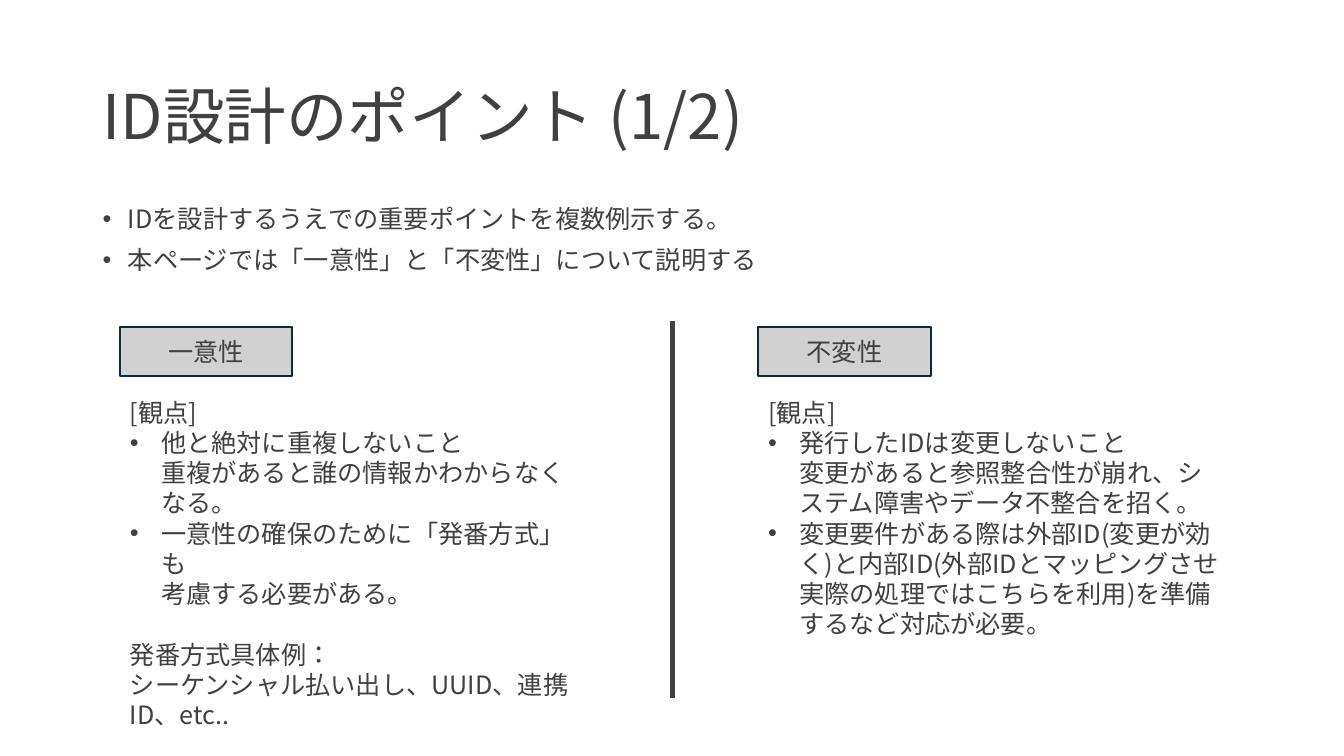
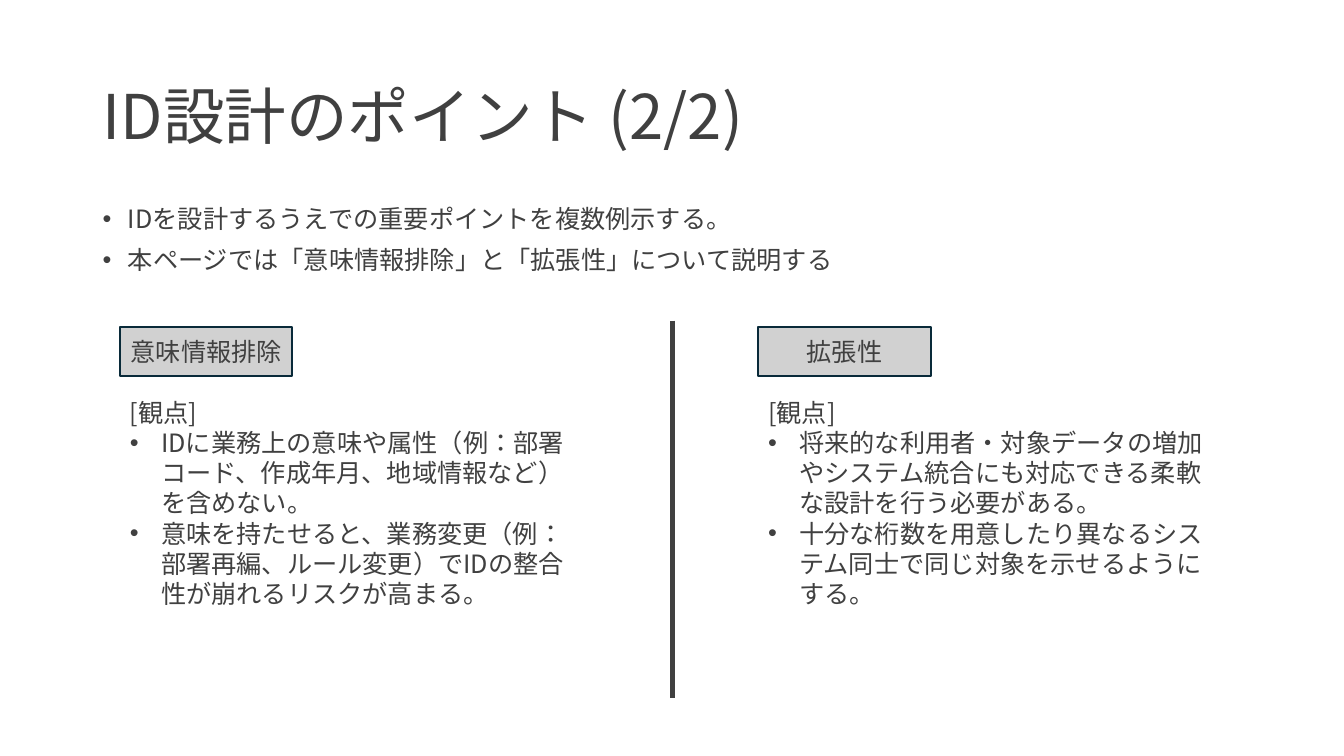
"""Build two slides on the key points of ID design."""
import pptx
import pptx.dml.color
import pptx.enum.lang
import pptx.enum.shapes
import pptx.enum.text
import pptx.oxml.ns
import pptx.util
from lxml import etree

Inches = pptx.util.Inches
Pt = pptx.util.Pt
qn = pptx.oxml.ns.qn
CENTER = pptx.enum.text.PP_ALIGN.CENTER
MIDDLE = pptx.enum.text.MSO_ANCHOR.MIDDLE

FONT = "Noto Sans CJK JP"
INK, LABEL_FILL, LABEL_LINE = "404040", "D1D1D1", "092A39"
BODY_SIZE, TITLE_SIZE = 18, 44
LINE_PITCH, TIGHT = 1.2, 0.9
COLUMN_LEFTS = (1.19, 7.52)


def color(hex_value):
    return pptx.dml.color.RGBColor.from_string(hex_value)


def write(paragraph, text, size=BODY_SIZE, pitch=None, indent=None):
    paragraph.text = text
    if indent:
        properties = paragraph._p.get_or_add_pPr()
        properties.set("marL", str(Inches(indent)))
        properties.set("indent", str(-Inches(indent)))
        etree.SubElement(properties, qn("a:buFont"), typeface="Arial")
        etree.SubElement(properties, qn("a:buChar"), char="•")
    if pitch:
        paragraph.line_spacing = Pt(round(size * pitch, 1))
    for run in paragraph.runs:
        run.font.size = Pt(size)
        run.font.name = FONT
        run.font.color.rgb = color(INK)
        run.font.language_id = pptx.enum.lang.MSO_LANGUAGE_ID.JAPANESE
        etree.SubElement(run._r.get_or_add_rPr(), qn("a:ea"), typeface=FONT)


pages = [
    {
        "title": "ID設計のポイント (1/2)",
        "topic": "本ページでは「一意性」と「不変性」について説明する",
        "columns": [
            ("一意性",
             ["他と絶対に重複しないこと\n重複があると誰の情報かわからなくなる。",
              "一意性の確保のために「発番方式」も\n考慮する必要がある。"],
             ["発番方式具体例：",
              "シーケンシャル払い出し、UUID、連携ID、etc.."]),
            ("不変性",
             ["発行したIDは変更しないこと\n変更があると参照整合性が崩れ、システム障害やデータ不整合を招く。",
              "変更要件がある際は外部ID(変更が効く)と内部ID(外部IDとマッピングさせ"
              "実際の処理ではこちらを利用)を準備するなど対応が必要。"],
             []),
        ],
    },
    {
        "title": "ID設計のポイント (2/2)",
        "topic": "本ページでは「意味情報排除」と「拡張性」について説明する",
        "columns": [
            ("意味情報排除",
             ["IDに業務上の意味や属性（例：部署コード、作成年月、地域情報など）を含めない。",
              "意味を持たせると、業務変更（例：部署再編、ルール変更）でIDの整合性が崩れるリスクが高まる。"],
             []),
            ("拡張性",
             ["将来的な利用者・対象データの増加やシステム統合にも対応できる柔軟な設計を行う必要がある。",
              "十分な桁数を用意したり異なるシステム同士で同じ対象を示せるようにする。"],
             []),
        ],
    },
]

deck = pptx.Presentation()
deck.slide_width = Inches(13.33)
deck.slide_height = Inches(7.5)

for page in pages:
    slide = deck.slides.add_slide(deck.slide_layouts[6])

    title = slide.shapes.add_textbox(
        Inches(0.92), Inches(0.45), Inches(11.5), Inches(1.45)).text_frame
    title.word_wrap = True
    title.vertical_anchor = MIDDLE
    write(title.paragraphs[0], page["title"], TITLE_SIZE, LINE_PITCH * TIGHT)

    intro = slide.shapes.add_textbox(
        Inches(0.92), Inches(2), Inches(11.5), Inches(0.85)).text_frame
    intro.word_wrap = True
    write(intro.paragraphs[0], "IDを設計するうえでの重要ポイントを複数例示する。",
          pitch=LINE_PITCH * TIGHT, indent=0.25)
    topic = intro.add_paragraph()
    write(topic, page["topic"], pitch=LINE_PITCH * TIGHT, indent=0.25)
    topic.space_before = Pt(10)

    divider = slide.shapes.add_connector(
        pptx.enum.shapes.MSO_CONNECTOR.STRAIGHT,
        Inches(6.67), Inches(3.18), Inches(6.67), Inches(6.92))
    divider.line.color.rgb = color(INK)
    divider.line.width = Pt(3)
    etree.SubElement(divider._element.spPr, qn("a:effectLst"))

    for left, (heading, points, examples) in zip(COLUMN_LEFTS, page["columns"]):
        label = slide.shapes.add_shape(
            pptx.enum.shapes.MSO_SHAPE.RECTANGLE,
            Inches(left), Inches(3.24), Inches(1.71), Inches(0.49))
        label.shadow.inherit = False
        label.fill.solid()
        label.fill.fore_color.rgb = color(LABEL_FILL)
        label.line.color.rgb = color(LABEL_LINE)
        label.line.width = Pt(1.5)
        label.text_frame.margin_left = label.text_frame.margin_right = Inches(0.05)
        label.text_frame.vertical_anchor = MIDDLE
        write(label.text_frame.paragraphs[0], heading)
        label.text_frame.paragraphs[0].alignment = CENTER

        details = slide.shapes.add_textbox(
            Inches(left), Inches(3.89), Inches(4.7), Inches(3.43)).text_frame
        details.word_wrap = True
        write(details.paragraphs[0], "[観点]", pitch=LINE_PITCH)
        for point in points:
            write(details.add_paragraph(), point, pitch=LINE_PITCH, indent=0.31)
        for position, example in enumerate(examples):
            line = details.add_paragraph()
            write(line, example, pitch=LINE_PITCH)
            if position == 0:
                line.space_before = Pt(BODY_SIZE * LINE_PITCH)

deck.save("out.pptx")
